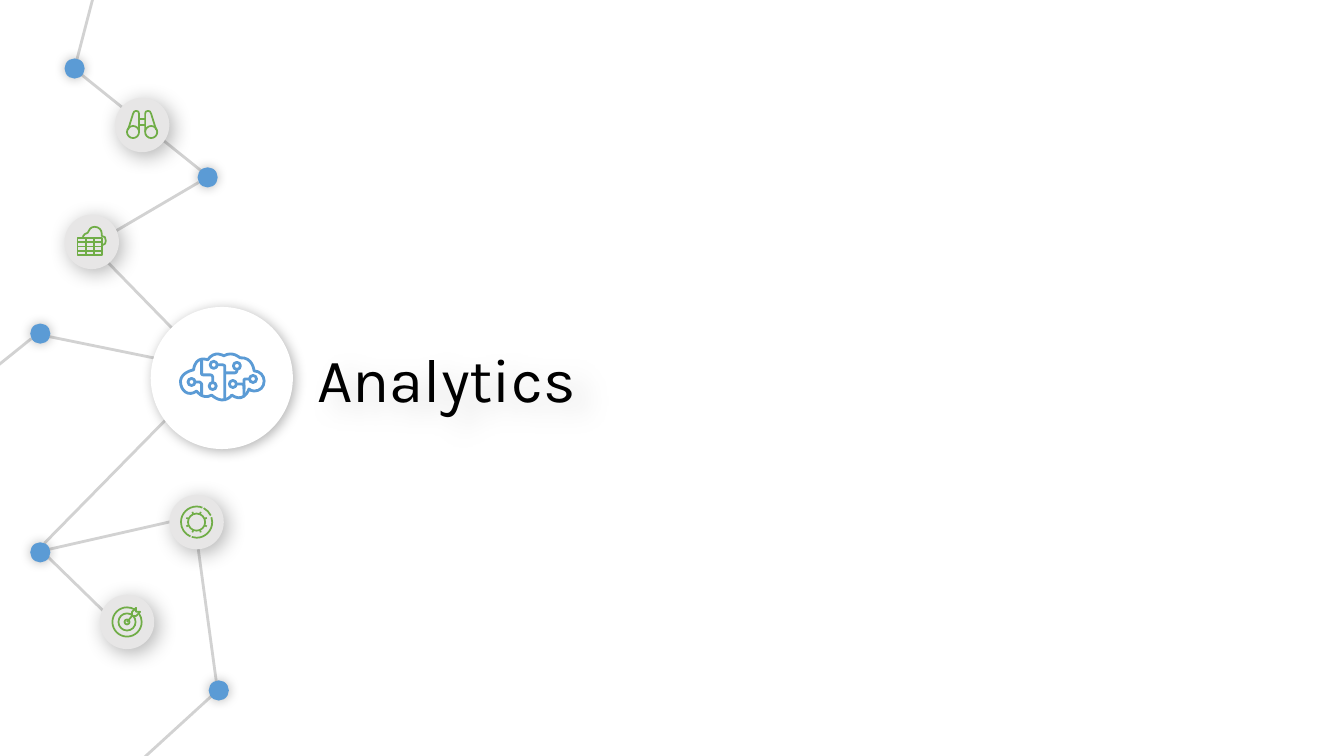
"""Build the "Analytics" section slide with its network of icon nodes."""
from math import ceil, cos, floor, radians, sin, tan

from lxml import etree
from pptx import Presentation
from pptx.dml.color import RGBColor
from pptx.enum.shapes import MSO_CONNECTOR, MSO_SHAPE
from pptx.enum.text import MSO_AUTO_SIZE
from pptx.oxml.ns import qn
from pptx.util import Inches, Pt

STRAIGHT = MSO_CONNECTOR.STRAIGHT
ELLIPSE, RECT = MSO_SHAPE.OVAL, MSO_SHAPE.RECTANGLE
FIT_SHAPE = MSO_AUTO_SIZE.SHAPE_TO_FIT_TEXT

BLACK = RGBColor(0x00, 0x00, 0x00)
WHITE = RGBColor(0xFF, 0xFF, 0xFF)
GRAY = RGBColor(0xE7, 0xE6, 0xE6)
LINK_GRAY = RGBColor(0xD2, 0xD2, 0xD2)
BLUE = RGBColor(0x5B, 0x9B, 0xD5)
GREEN = RGBColor(0x70, 0xAD, 0x47)

TITLE = "Analytics"
LINKS = [
    (0.31, 3.36, -0.1, 3.69), (2.11, 3.67, 0.49, 3.34),
    (2.18, 6.83, 1.25, 7.68), (1.93, 5.18, 2.17, 6.94),
    (0.91, 2.44, 2.11, 3.67), (0.44, 5.49, 1.28, 6.31),
    (0.44, 5.46, 1.85, 5.14), (2.11, 3.69, 0.44, 5.39),
    (1.97, 1.81, 0.93, 2.42), (0.77, 0.71, 2.04, 1.73),
    (0.75, 0.64, 0.93, -0.05),
]
OVAL_LINK = 1
LINKS_BELOW_TITLE = 9
DOTS = [(2.06, 1.76), (2.17, 6.85), (0.74, 0.68), (0.4, 5.48), (0.4, 3.31)]

# Shadows: opacity percent, blur, distance, direction
DOT_SHADOW = (27, 8, 0, 0)
DISC_SHADOW = (30, 15, 4, 45)
HUB_SHADOW = (30, 9, 2, 45)
TITLE_SHADOW = (14, 20, 12, 30)

# Tuples are arcs (centre, diameter, angles); lists are lines and curves
CLOUD = [[(0.82, 2.35), (0.83, 2.33, 0.85, 2.31, 0.87, 2.31),
          (0.88, 2.28, 0.9, 2.25, 0.94, 2.25), (0.98, 2.25, 1.01, 2.28, 1.01, 2.32),
          (1.01, 2.34), (1.04, 2.34, 1.05, 2.36, 1.05, 2.39),
          (1.05, 2.41, 1.04, 2.43, 1.02, 2.43)]]
SHEET = (0.77, 2.36, 0.24, 0.17)
SHEET_COLS, SHEET_ROWS = 3, 4

TARGET = [
    (1.26, 6.17, 0.29, -35, 304), (1.26, 6.17, 0.17, 0, 360), (1.26, 6.17, 0.05, 0, 360),
    [(1.26, 6.17), (1.31, 6.11)],
    [(1.39, 6.07), (1.35, 6.07), (1.35, 6.03), (1.31, 6.07), (1.31, 6.11),
     (1.35, 6.11), (1.39, 6.07)],
]

GEAR_X, GEAR_Y = 1.95, 5.18
GEAR = [(GEAR_X, GEAR_Y, d, a, b) for d, a, b in
        [(0.17, 0, 360), (0.31, -247, -68), (0.31, -18, 108), (0.31, -63, -25)]]
GEAR += [[(GEAR_X + r * cos(a), GEAR_Y + r * sin(a)) for r in (0.11, 0.09)]
         for a in (radians(22.5 + 45 * i) for i in range(8))]

BINOCULAR_X = 1.41
BARREL = [(0.14, 1.29), (0.09, 1.13), (0.08, 1.11, 0.08, 1.1, 0.06, 1.1),
          (0.04, 1.1, 0.03, 1.11, 0.03, 1.13), (0.03, 1.31)]
BINOCULARS = [(BINOCULAR_X + side * 0.09, 1.31, 0.12, 0, 360) for side in (-1, 1)]
BINOCULARS += [[tuple(v if i % 2 else BINOCULAR_X + side * v for i, v in enumerate(seg))
                for seg in BARREL] for side in (-1, 1)]
BINOCULARS += [[(1.38, y), (1.44, y)] for y in (1.18, 1.24)]

BRAIN = [(x, y, 0.07, 0, 360) for x, y in
         [(2.51, 3.76), (2.31, 3.81), (2.12, 3.62), (2.35, 3.63), (2.11, 3.83), (1.9, 3.79)]]
BRAIN += [
    [(2, 3.93), (2, 3.81), (2, 3.81, 1.99, 3.79, 1.98, 3.79), (1.93, 3.79)],
    [(2.23, 3.97), (2.23, 3.64), (2.23, 3.63, 2.23, 3.62, 2.21, 3.62), (2.15, 3.62)],
    [(2.23, 3.7), (2.33, 3.7), (2.34, 3.7, 2.35, 3.69, 2.35, 3.68), (2.35, 3.67)],
    [(2, 3.56), (2, 3.71), (2, 3.72, 2.01, 3.72, 2.02, 3.72), (2.09, 3.72),
     (2.1, 3.72, 2.11, 3.73, 2.11, 3.74), (2.11, 3.79)],
    [(2.47, 3.76), (2.43, 3.76), (2.42, 3.76, 2.42, 3.77, 2.42, 3.77), (2.42, 3.86)],
    [(2.42, 3.93), (2.42, 3.83), (2.42, 3.82, 2.41, 3.81, 2.4, 3.81), (2.35, 3.81)],
    [(2.47, 3.86), (2.48, 3.87, 2.5, 3.88, 2.52, 3.88),
     (2.58, 3.88, 2.62, 3.84, 2.62, 3.78), (2.62, 3.73, 2.58, 3.68, 2.52, 3.68),
     (2.52, 3.68, 2.51, 3.54, 2.38, 3.55), (2.38, 3.55, 2.31, 3.48, 2.22, 3.53),
     (2.22, 3.53, 2.13, 3.47, 2.06, 3.57), (2.06, 3.57, 1.94, 3.52, 1.92, 3.67),
     (1.92, 3.67, 1.8, 3.69, 1.79, 3.78), (1.79, 3.88, 1.87, 3.94, 1.95, 3.88),
     (1.95, 3.88, 2.01, 3.97, 2.1, 3.92), (2.1, 3.92, 2.21, 4.03, 2.3, 3.92),
     (2.3, 3.92, 2.41, 4.01, 2.47, 3.86)],
]

NODES = [
    (0.91, 2.4, 0.54, GRAY, DISC_SHADOW, CLOUD, GREEN, 1.25),
    (1.26, 6.17, 0.54, GRAY, DISC_SHADOW, TARGET, GREEN, 1.25),
    (1.95, 5.18, 0.54, GRAY, DISC_SHADOW, GEAR, GREEN, 1.25),
    (1.41, 1.24, 0.54, GRAY, DISC_SHADOW, BINOCULARS, GREEN, 1.25),
    (2.2, 3.75, 1.41, WHITE, HUB_SHADOW, BRAIN, BLUE, 2),
]


def add_shadow(shape, opacity, blur, distance, direction):
    effects = etree.SubElement(shape._element.spPr, qn("a:effectLst"))
    outer = etree.SubElement(effects, qn("a:outerShdw"), blurRad=str(Pt(blur)),
                             dist=str(Pt(distance)), dir=str(direction * 60000),
                             algn="ctr", rotWithShape="0")
    color = etree.SubElement(outer, qn("a:srgbClr"), val=str(BLACK))
    etree.SubElement(color, qn("a:alpha"), val=str(opacity * 1000))


def add_line(shapes, ends, color, width, oval=False):
    line = shapes.add_connector(STRAIGHT, *map(Inches, ends))
    line.line.color.rgb = color
    line.line.width = Pt(width)
    if oval:
        etree.SubElement(line.line._get_or_add_ln(), qn("a:headEnd"), type="oval")
    etree.SubElement(line._element.spPr, qn("a:effectLst"))


def add_disc(shapes, x, y, size, color, shadow):
    disc = shapes.add_shape(ELLIPSE, *map(Inches, (x - size / 2, y - size / 2, size, size)))
    disc.fill.solid()
    disc.fill.fore_color.rgb = color
    disc.line.fill.background()
    add_shadow(disc, *shadow)


def outline(shape, color, width):
    shape.shadow.inherit = False
    shape.fill.background()
    shape.line.color.rgb = color
    shape.line.width = Pt(width)


def arc_segments(x, y, size, start, end):
    quarters = range(floor(start / 90) + 1, ceil(end / 90))
    angles = [radians(a) for a in (start, *(90 * q for q in quarters), end)]
    r = size / 2
    segments = [(x + r * cos(angles[0]), y + r * sin(angles[0]))]
    for a, b in zip(angles, angles[1:]):
        k = 4 / 3 * tan((b - a) / 4)
        segments.append((x + r * (cos(a) - k * sin(a)), y + r * (sin(a) + k * cos(a)),
                         x + r * (cos(b) + k * sin(b)), y + r * (sin(b) - k * cos(b)),
                         x + r * cos(b), y + r * sin(b)))
    return segments


def add_icon(shapes, icon, color, width):
    contours = [[tuple(map(Inches, seg)) for seg in
                 (arc_segments(*c) if isinstance(c, tuple) else c)] for c in icon]
    builder = shapes.build_freeform(*contours[0][0])
    for i, (start, *segments) in enumerate(contours):
        if i:
            builder.move_to(*start)
        builder.add_line_segments([seg[-2:] for seg in segments], close=False)
    shape = builder.convert_to_shape()
    segments = [seg for contour in contours for seg in contour[1:]]
    for node, seg in zip(list(shape._element.iter(qn("a:lnTo"))), segments):
        if len(seg) == 6:
            node.tag = qn("a:cubicBezTo")
            for i in (2, 0):
                point = etree.Element(qn("a:pt"), x=str(seg[i] - shape.left),
                                      y=str(seg[i + 1] - shape.top))
                node.insert(0, point)
    outline(shape, color, width)


def add_sheet(shapes, color, width):
    x, y, w, h = SHEET
    outline(shapes.add_shape(RECT, *map(Inches, SHEET)), color, width)
    for i in range(1, SHEET_COLS):
        col_x = x + w * i / SHEET_COLS
        add_line(shapes, (col_x, y, col_x, y + h), color, width)
    for i in range(1, SHEET_ROWS):
        row_y = y + h * i / SHEET_ROWS
        add_line(shapes, (x, row_y, x + w, row_y), color, width)


def add_title(shapes):
    title = shapes.add_textbox(*map(Inches, (3.05, 3.28, 5.56, 0.94)))
    add_shadow(title, *TITLE_SHADOW)
    tf = title.text_frame
    tf.word_wrap, tf.auto_size = True, FIT_SHAPE
    tf.margin_left = tf.margin_right = tf.margin_top = tf.margin_bottom = Inches(0.1)
    r = tf.paragraphs[0].add_run()
    r.text = TITLE
    r.font.name, r.font.size = "Karla", Pt(44)
    r.font.color.rgb = BLACK


prs = Presentation()
prs.slide_width, prs.slide_height = Inches(13.33), Inches(7.5)
s = prs.slides.add_slide(prs.slide_layouts[6])
for i, ends in enumerate(LINKS):
    if i == LINKS_BELOW_TITLE:
        add_title(s.shapes)
    add_line(s.shapes, ends, LINK_GRAY, 2, i == OVAL_LINK)
for x, y in DOTS:
    add_disc(s.shapes, x, y, 0.2, BLUE, DOT_SHADOW)
for x, y, size, fill, shadow, icon, color, width in NODES:
    group = s.shapes.add_group_shape().shapes
    add_disc(group, x, y, size, fill, shadow)
    if icon is CLOUD:
        add_sheet(group, color, width)
    add_icon(group, icon, color, width)
prs.save("out.pptx")
